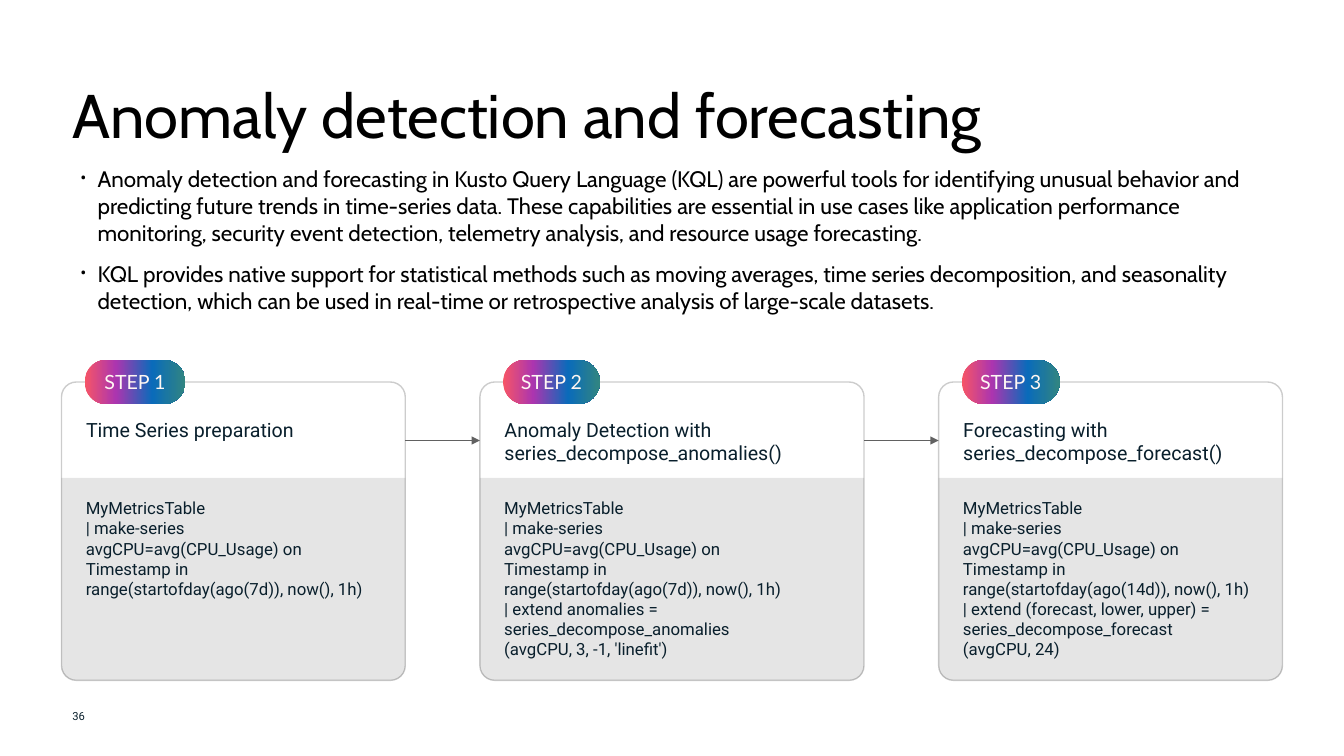
from dataclasses import dataclass

from lxml.etree import SubElement
from pptx import Presentation
from pptx.dml.color import RGBColor
from pptx.enum.shapes import MSO_CONNECTOR as CONNECTOR, MSO_SHAPE as SHAPE
from pptx.enum.text import MSO_ANCHOR as ANCHOR, PP_ALIGN as ALIGN
from pptx.oxml.ns import qn
from pptx.util import Inches, Pt


@dataclass(frozen=True)
class Theme:
    black: str = "000000"
    white: str = "FFFFFF"
    ink: str = "091F2C"
    arrow: str = "616161"
    pill_text: str = "FFF7F3"
    pill_stops: tuple = ((0, "F65567"), (31, "AC35AF"), (67, "0A6BBA"), (100, "318581"))
    display: str = "Cabin"
    text: str = "Roboto"
    label: str = "Lato"
    title_size: int = 44
    body_size: int = 16
    heading_size: int = 14
    code_size: int = 12
    number_size: int = 8
    bullet_percent: int = 80


THEME = Theme()
TITLE = "Anomaly detection and forecasting"
POINTS = [
    "Anomaly detection and forecasting in Kusto Query Language (KQL) are powerful tools for "
    "identifying unusual behavior and predicting future trends in time-series data. These "
    "capabilities are essential in use cases like application performance monitoring, security "
    "event detection, telemetry analysis, and resource usage forecasting.",
    "KQL provides native support for statistical methods such as moving averages, time series "
    "decomposition, and seasonality detection, which can be used in real-time or retrospective "
    "analysis of large-scale datasets.",
]
# Card width, pill width, heading, code paragraphs
STEPS = [
    (3.41, 1.0, "Time Series preparation", [
        "MyMetricsTable",
        "| make-series\navgCPU=avg(CPU_Usage) on Timestamp in range(startofday(ago(7d)), now(), 1h)",
    ]),
    (3.81, 0.96, "Anomaly Detection with series_decompose_anomalies()", [
        "MyMetricsTable",
        "| make-series\navgCPU=avg(CPU_Usage) on\nTimestamp in\n"
        "range(startofday(ago(7d)), now(), 1h)",
        "| extend anomalies = series_decompose_anomalies\n(avgCPU, 3, -1, 'linefit')",
    ]),
    (3.41, 0.97, "Forecasting with series_decompose_forecast()", [
        "MyMetricsTable",
        "| make-series\navgCPU=avg(CPU_Usage) on Timestamp in range(startofday(ago(14d)), now(), 1h)",
        "| extend (forecast, lower, upper) = series_decompose_forecast\n(avgCPU, 24)",
    ]),
]


def rgb(value):
    return RGBColor.from_string(value)


def add_bullet(paragraph, bullet, margin=0.25, hanging=0.17):
    properties = paragraph._p.get_or_add_pPr()
    properties.set("marL", str(Inches(margin)))
    properties.set("indent", str(-Inches(hanging)))
    SubElement(properties, qn("a:buSzPct")).set("val", str(THEME.bullet_percent * 1000))
    SubElement(properties, qn("a:buFont")).set("typeface", THEME.text)
    SubElement(properties, qn("a:buChar")).set("char", bullet)


def write_text(shape, paragraphs, *, size, font=THEME.text, color=THEME.ink, align=ALIGN.LEFT,
               anchor=ANCHOR.TOP, insets=(0.1, 0.05, 0.1, 0.05), wrap=True,
               line_spacing=None, gap=0, bullet=None):
    frame = shape.text_frame
    frame.word_wrap = wrap
    frame.vertical_anchor = anchor
    (frame.margin_left, frame.margin_top,
     frame.margin_right, frame.margin_bottom) = map(Inches, insets)
    for index, content in enumerate(paragraphs):
        paragraph = frame.add_paragraph() if index else frame.paragraphs[0]
        paragraph.text = content
        paragraph.alignment = align
        if line_spacing:
            paragraph.line_spacing = line_spacing
        if index and gap:
            paragraph.space_before = Pt(gap)
        if bullet:
            add_bullet(paragraph, bullet)
        for run in paragraph.runs:
            run.font.size = Pt(size)
            run.font.name = font
            run.font.color.rgb = rgb(color)


def add_text(slide, box, paragraphs, **text_format):
    write_text(slide.shapes.add_textbox(*map(Inches, box)), paragraphs, **text_format)


def add_panel(slide, kind, box, adjustments, fill=None):
    panel = slide.shapes.add_shape(kind, *map(Inches, box))
    panel.shadow.inherit = False
    for index, value in enumerate(adjustments):
        panel.adjustments[index] = value
    if fill:
        panel.fill.solid()
        panel.fill.fore_color.rgb = rgb(fill)
    panel.line.fill.background()
    return panel


def set_opacity(element, percent):
    for color in element.iter(qn("a:srgbClr")):
        SubElement(color, qn("a:alpha")).set("val", str(percent * 1000))


def add_pill(slide, box, label):
    pill = add_panel(slide, SHAPE.ROUNDED_RECTANGLE, box, [0.5])
    pill.fill.gradient()
    pill.fill.gradient_angle = 0
    stops = pill._element.spPr.find(".//" + qn("a:gsLst"))
    for stop in list(stops):
        stops.remove(stop)
    for position, color in THEME.pill_stops:
        stop = SubElement(stops, qn("a:gs"))
        stop.set("pos", str(position * 1000))
        SubElement(stop, qn("a:srgbClr")).set("val", color)
    write_text(pill, [label], size=THEME.heading_size, font=THEME.label, color=THEME.pill_text,
               align=ALIGN.CENTER, anchor=ANCHOR.MIDDLE, wrap=False,
               insets=(0.08, 0.04, 0.08, 0.04))


def add_step(slide, box, number, pill_width, heading, code):
    left, top, width, height = box
    # Outlined card with its heading
    card = add_panel(slide, SHAPE.ROUNDED_RECTANGLE, box, [0.05], THEME.white)
    card.line.color.rgb = rgb(THEME.black)
    card.line.width = Pt(1)
    set_opacity(card._element.spPr.find(qn("a:ln")), 20)
    write_text(card, [heading], size=THEME.heading_size, insets=(0.2, 0.31, 0.2, 0.16))
    # Shaded code area
    head = 0.95
    code_area = add_panel(slide, SHAPE.ROUND_2_SAME_RECTANGLE,
                          (left, top + head, width, height - head), [0, 0.07], THEME.black)
    set_opacity(code_area._element.spPr, 10)
    write_text(code_area, code, size=THEME.code_size, insets=(0.2, 0.2, 0.2, 0.05))
    # Step label across the top edge
    add_pill(slide, (left + 0.23, top - 0.22, pill_width, 0.44), f"STEP {number}")


def add_arrow(slide, left, right, y):
    arrow = slide.shapes.add_connector(CONNECTOR.STRAIGHT, *map(Inches, (left, y, right, y)))
    arrow.line.color.rgb = rgb(THEME.arrow)
    arrow.line.width = Pt(1)
    properties = arrow._element.spPr
    SubElement(properties.find(qn("a:ln")), qn("a:tailEnd")).set("type", "triangle")
    SubElement(properties, qn("a:effectLst"))


def add_process(slide, box, gap=0.74):
    left, top, _, height = box
    for number, (width, pill_width, heading, code) in enumerate(STEPS, start=1):
        add_step(slide, (left, top, width, height), number, pill_width, heading, code)
        if number > 1:
            add_arrow(slide, left - gap, left, top + 0.58)
        left += width + gap


def add_intro(slide, box):
    left, top, width, height = box
    title_height = 0.79
    add_text(slide, (left, top, width, title_height), [TITLE], size=THEME.title_size,
             font=THEME.display, color=THEME.black, anchor=ANCHOR.MIDDLE, line_spacing=0.9)
    body_top = 0.81
    add_text(slide, (left, top + body_top, width - 0.14, height - body_top), POINTS,
             size=THEME.body_size, font=THEME.display, color=THEME.black, gap=10, bullet="•")


def main():
    deck = Presentation()
    deck.slide_width, deck.slide_height = Inches(13.33), Inches(7.5)
    slide = deck.slides.add_slide(deck.slide_layouts[6])
    add_intro(slide, (0.62, 0.78, 12.1, 2.29))
    add_process(slide, (0.61, 3.79, 12.11, 2.96))
    # Slide number
    add_text(slide, (0.62, 6.9, 0.44, 0.4), ["36"], size=THEME.number_size, anchor=ANCHOR.MIDDLE)
    deck.save("out.pptx")


if __name__ == "__main__":
    main()
